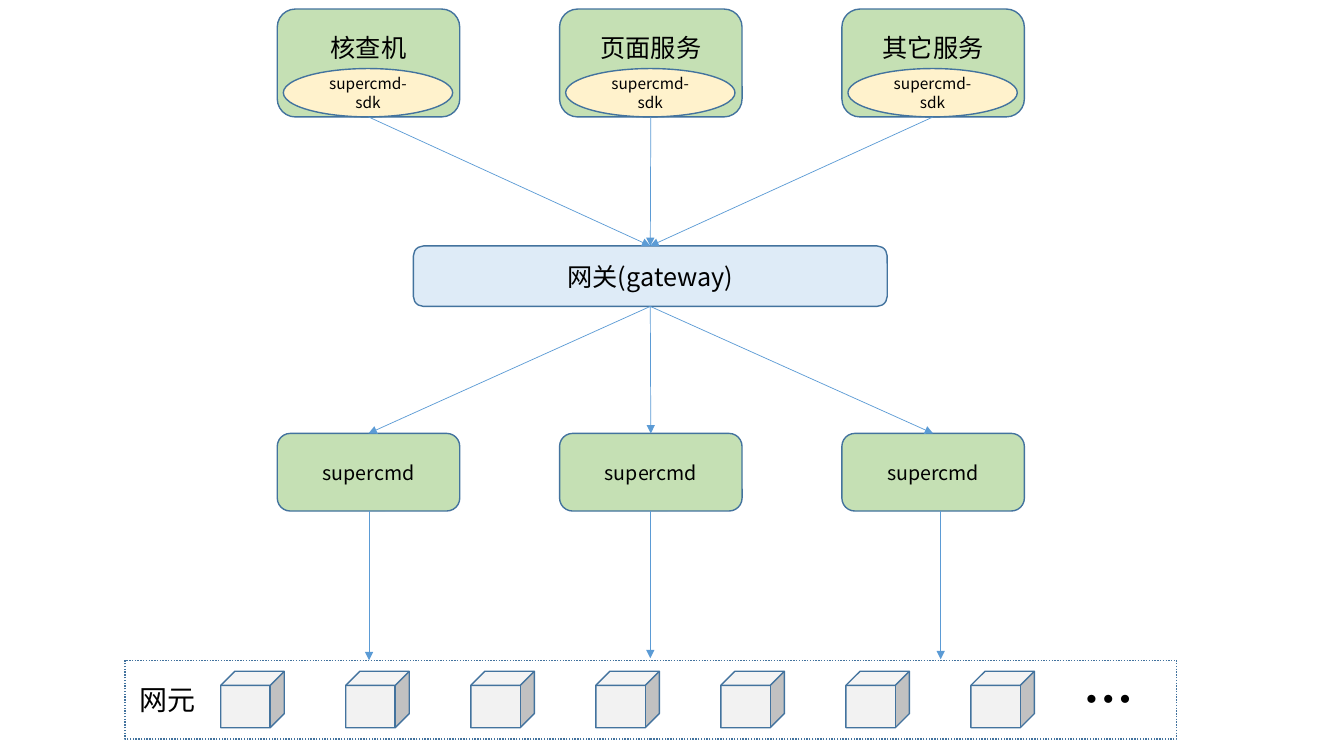
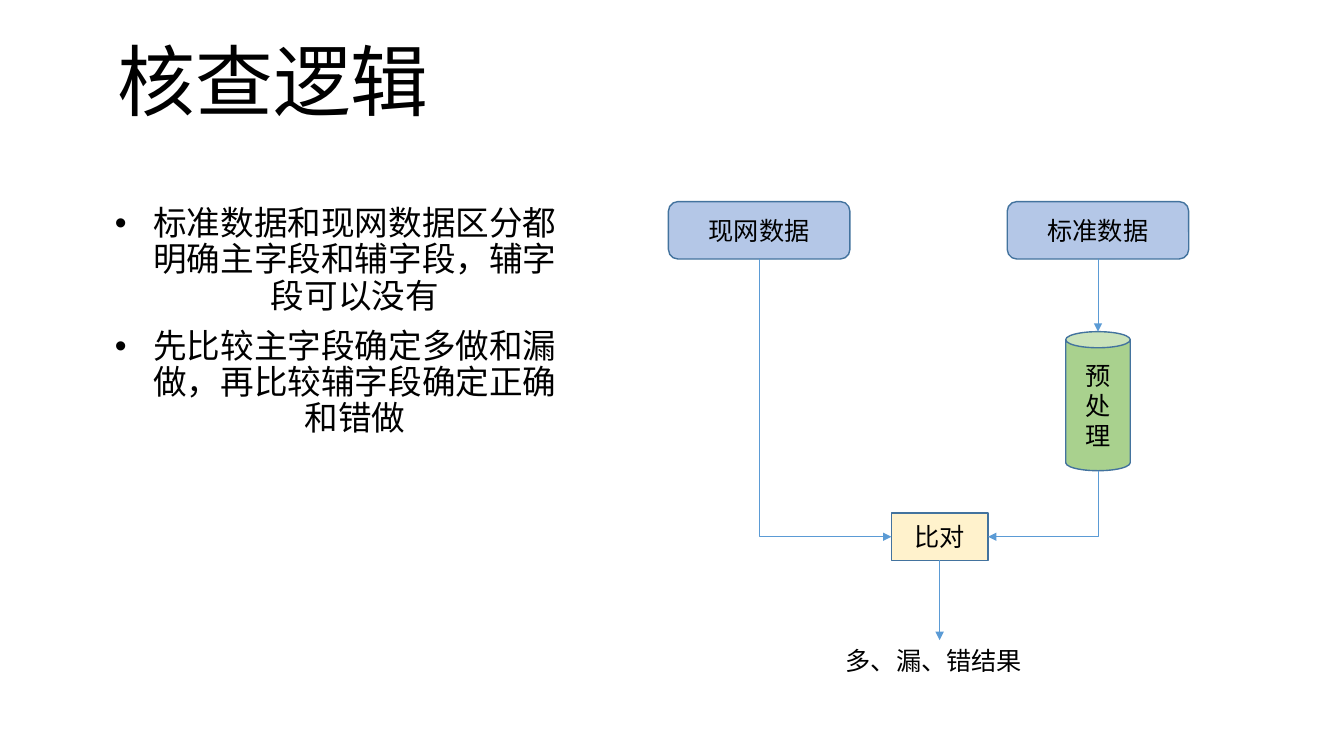
"""Build two slides: the supercmd service architecture and the checking logic."""
from dataclasses import dataclass

from lxml import etree
from pptx import Presentation
from pptx.dml.color import RGBColor
from pptx.enum import dml, lang, shapes, text
from pptx.oxml import ns
from pptx.util import Inches, Pt

SHAPE = shapes.MSO_SHAPE
ALIGN = text.PP_ALIGN


@dataclass(frozen=True)
class Theme:
    """Colours, type sizes and line widths shared by the slides."""
    font: str = "Noto Sans CJK SC"
    ink: str = "000000"
    outline: str = "43739E"
    arrow: str = "5B9BD5"
    service: str = "C5E0B4"
    cream: str = "FFF2CC"
    gateway: str = "DEEBF7"
    cube: str = "F2F2F2"
    data: str = "B4C7E7"
    cylinder: str = "A9D18E"
    title: float = 55.5
    dots: float = 36
    bullet: float = 24
    network: float = 20
    label: float = 18
    worker: float = 14
    sdk: float = 11
    outline_width: float = 1
    arrow_width: float = 0.5


THEME = Theme()

SERVICES = ["核查机", "页面服务", "其它服务"]
SDK = "supercmd-sdk"
GATEWAY = "网关(gateway)"
WORKER = "supercmd"
NETWORK = "网元"
MORE = "…"
CUBE_COUNT = 7
DROPS = [(3.66, 6.55), (6.45, 6.53), (9.33, 6.54)]

TITLE = "核查逻辑"
BULLETS = [
    "标准数据和现网数据区分都明确主字段和辅字段，辅字段可以没有",
    "先比较主字段确定多做和漏做，再比较辅字段确定正确和错做",
]
LIVE_DATA, STANDARD_DATA = "现网数据", "标准数据"
PREPROCESS = "预处理"
COMPARE = "比对"
RESULT = "多、漏、错结果"

SIDES = ["top", "left", "bottom", "right"]


def inches(*values):
    """Convert several numbers to lengths."""
    return [Inches(value) for value in values]


def add_child(parent, tag, **attributes):
    """Append a DrawingML element."""
    return etree.SubElement(parent, ns.qn(tag), attributes)


def style_text(frame, size, align=ALIGN.CENTER, bold=None):
    """Apply the shared font to every run of a text frame."""
    for paragraph in frame.paragraphs:
        paragraph.alignment = align
        for run in paragraph.runs:
            run.font.name = THEME.font
            run.font.size = Pt(size)
            run.font.bold = bold
            run.font.color.rgb = RGBColor.from_string(THEME.ink)
            run.font.language_id = lang.MSO_LANGUAGE_ID.SIMPLIFIED_CHINESE
            add_child(run.font._element, "a:ea", typeface=THEME.font)


def add_node(slide, preset, box, fill=None, label="", size=THEME.label):
    """Add an outlined shape with a centred label."""
    node = slide.shapes.add_shape(preset, *inches(*box))
    node.shadow.inherit = False
    if fill:
        node.fill.solid()
        node.fill.fore_color.rgb = RGBColor.from_string(fill)
    else:
        node.fill.background()
    node.line.color.rgb = RGBColor.from_string(THEME.outline)
    node.line.width = Pt(THEME.outline_width)
    if label:
        node.text_frame.text = label
        style_text(node.text_frame, size)
    return node


def add_label(slide, box, label, size, wrap=False, bold=None):
    """Add a left-aligned text box."""
    caption = slide.shapes.add_textbox(*inches(*box))
    caption.text_frame.word_wrap = wrap
    caption.text_frame.text = label
    style_text(caption.text_frame, size, ALIGN.LEFT, bold)
    return caption


def port(shape, side):
    """Return the midpoint of one side of a shape."""
    across = {"left": 0, "right": 2}.get(side, 1)
    down = {"top": 0, "bottom": 2}.get(side, 1)
    return shape.left + shape.width * across // 2, shape.top + shape.height * down // 2


def site(shape, side):
    """Return the connection site number; a cylinder has one extra site first."""
    is_cylinder = (shape.shape_type == shapes.MSO_SHAPE_TYPE.AUTO_SHAPE
                   and shape.auto_shape_type == SHAPE.CAN)
    return SIDES.index(side) + is_cylinder


def add_arrow(slide, start, end, kind=shapes.MSO_CONNECTOR.STRAIGHT):
    """Add a thin connector with a triangle at its end."""
    arrow = slide.shapes.add_connector(kind, *start, *end)
    arrow.line.color.rgb = RGBColor.from_string(THEME.arrow)
    arrow.line.width = Pt(THEME.arrow_width)
    add_child(arrow.line._get_or_add_ln(), "a:tailEnd", type="triangle")
    add_child(arrow._element.spPr, "a:effectLst")
    return arrow


def link(slide, source, target, enter="top"):
    """Connect the bottom of one shape to a side of another, turning once if needed."""
    start, end = port(source, "bottom"), port(target, enter)
    turns = enter != "top"
    kind = shapes.MSO_CONNECTOR.ELBOW if turns else shapes.MSO_CONNECTOR.STRAIGHT
    arrow = add_arrow(slide, start, end, kind)
    arrow.begin_connect(source, site(source, "bottom"))
    arrow.end_connect(target, site(target, enter))
    arrow.begin_x, arrow.begin_y = start
    arrow.end_x, arrow.end_y = end
    if turns:
        run, drop = abs(end[0] - start[0]), end[1] - start[1]
        arrow.left = (start[0] + end[0] - drop) // 2
        arrow.top = (start[1] + end[1] - run) // 2
        arrow.width, arrow.height = drop, run
        properties = arrow._element.spPr
        properties.find(ns.qn("a:prstGeom")).set("prst", "bentConnector2")
        frame = properties.find(ns.qn("a:xfrm"))
        rightward = end[0] > start[0]
        frame.set("rot", "16200000" if rightward else "5400000")
        frame.set("flipH", "1" if rightward else "0")
        frame.set("flipV", "0")


def build_architecture(deck):
    """Draw services, gateway, workers and network elements."""
    slide = deck.slides.add_slide(deck.slide_layouts[6])
    columns = [2.75 + 2.8 * index for index in range(len(SERVICES))]
    gateway = add_node(slide, SHAPE.ROUNDED_RECTANGLE, (4.1, 2.44, 4.7, 0.6),
                       THEME.gateway, GATEWAY)
    for left, name, (drop_x, drop_y) in zip(columns, SERVICES, DROPS):
        service = add_node(slide, SHAPE.ROUNDED_RECTANGLE, (left, 0.09, 1.81, 1.07),
                           THEME.service, name)
        service.text_frame.margin_bottom = Inches(0.35)
        add_node(slide, SHAPE.OVAL, (left + 0.06, 0.68, 1.68, 0.48),
                 THEME.cream, SDK, THEME.sdk)
        worker = add_node(slide, SHAPE.ROUNDED_RECTANGLE, (left, 4.3, 1.81, 0.77),
                          THEME.service, WORKER, THEME.worker)
        link(slide, service, gateway)
        link(slide, gateway, worker)
        add_arrow(slide, inches(drop_x, 5.07), inches(drop_x, drop_y))

    network = add_node(slide, SHAPE.RECTANGLE, (1.24, 6.55, 10.43, 0.78))
    network.line.dash_style = dml.MSO_LINE.ROUND_DOT
    for index in range(CUBE_COUNT):
        add_node(slide, SHAPE.CUBE, (2.19 + 1.24 * index, 6.66, 0.63, 0.56), THEME.cube)
    add_label(slide, (1.29, 6.72, 0.76, 0.44), NETWORK, THEME.network)
    add_label(slide, (10.65, 6.58, 0.61, 0.71), MORE, THEME.dots, bold=True)


def add_title(slide):
    """Place and format the title placeholder."""
    title = slide.shapes.title
    title.left, title.top, title.width, title.height = inches(0.92, 0.4, 3.58, 0.89)
    frame = title.text_frame
    frame.text = TITLE
    frame.vertical_anchor = text.MSO_ANCHOR.BOTTOM
    frame.auto_size = text.MSO_AUTO_SIZE.NONE
    frame.paragraphs[0].line_spacing = 0.8
    style_text(frame, THEME.title)


def add_bullets(slide):
    """Write the comparison rules as centred bullets."""
    rules = slide.shapes.add_textbox(*inches(0.92, 2, 4.82, 4.76))
    frame = rules.text_frame
    frame.word_wrap = True
    frame.text = "\n".join(BULLETS)
    for index, paragraph in enumerate(frame.paragraphs):
        paragraph.line_spacing = 0.9
        paragraph.space_before = Pt(10 if index else 0)
        properties = paragraph._p.get_or_add_pPr()
        properties.set("marL", str(Inches(0.38)))
        properties.set("indent", str(-Inches(0.38)))
        add_child(properties, "a:buFont", typeface="Arial")
        add_child(properties, "a:buChar", char="•")
    style_text(frame, THEME.bullet)


def build_logic(deck):
    """Draw the checking rules and their flow."""
    slide = deck.slides.add_slide(deck.slide_layouts[5])
    add_title(slide)
    add_bullets(slide)
    live, standard = [
        add_node(slide, SHAPE.ROUNDED_RECTANGLE, (left, 2, 1.8, 0.57), THEME.data, name)
        for left, name in [(6.63, LIVE_DATA), (9.99, STANDARD_DATA)]
    ]
    preprocess = add_node(slide, SHAPE.CAN, (10.57, 3.29, 0.64, 1.38),
                          THEME.cylinder, PREPROCESS)
    compare = add_node(slide, SHAPE.RECTANGLE, (8.84, 5.09, 0.96, 0.47),
                       THEME.cream, COMPARE)
    result = add_label(slide, (8.29, 6.35, 2.06, 0.4), RESULT, THEME.label, wrap=True)
    link(slide, standard, preprocess)
    link(slide, live, compare, "left")
    link(slide, preprocess, compare, "right")
    link(slide, compare, result)


def main():
    """Build and save the deck."""
    deck = Presentation()
    deck.slide_width, deck.slide_height = inches(13.33, 7.5)
    build_architecture(deck)
    build_logic(deck)
    deck.save("out.pptx")


if __name__ == "__main__":
    main()
